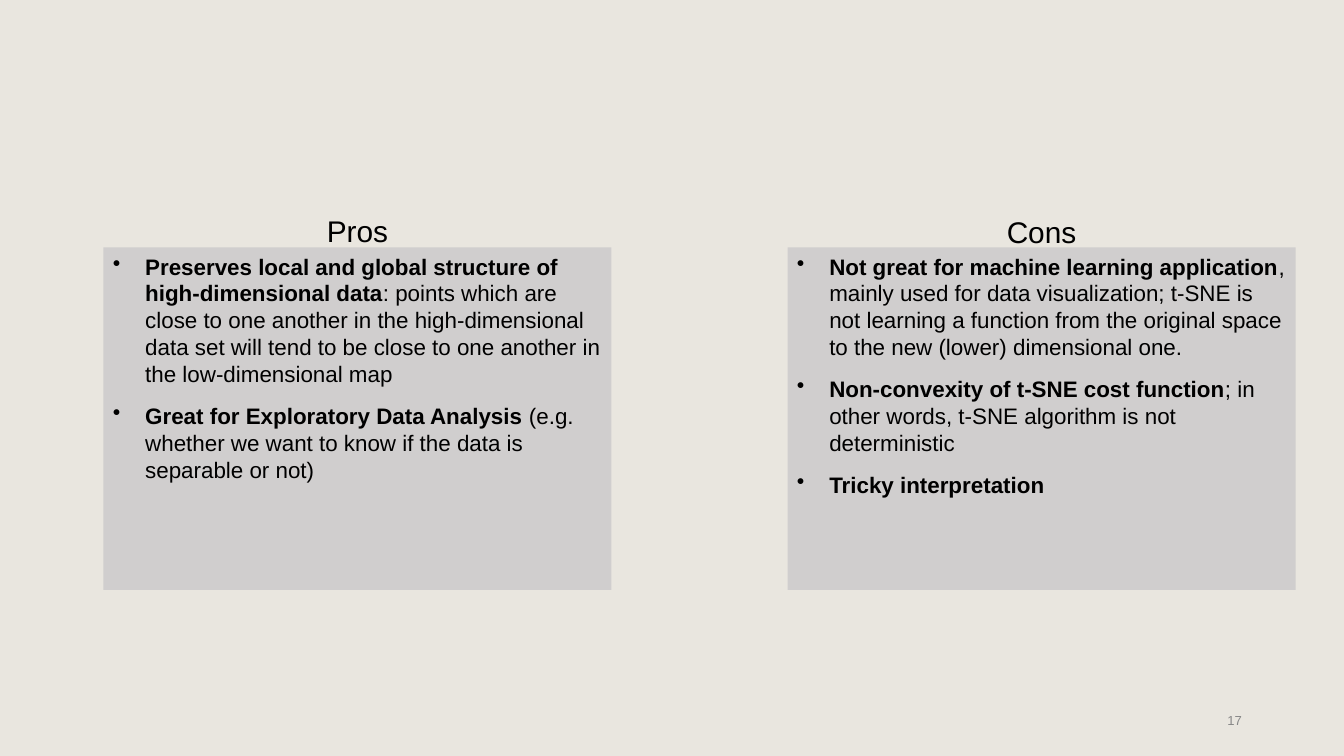
from pptx import Presentation
from pptx.dml.color import RGBColor
from pptx.enum.shapes import MSO_SHAPE
from pptx.enum.text import MSO_ANCHOR, PP_ALIGN
from pptx.oxml.xmlchemy import OxmlElement
from pptx.util import Inches, Pt

RECTANGLE = MSO_SHAPE.RECTANGLE
TOP, MIDDLE = MSO_ANCHOR.TOP, MSO_ANCHOR.MIDDLE
LEFT, CENTER, RIGHT = PP_ALIGN.LEFT, PP_ALIGN.CENTER, PP_ALIGN.RIGHT

# Left edge of the panel, top of the heading, heading, (bold, regular) points
COLUMNS = [
    (0.77, 1.54, "Pros", [
        ("Preserves local and global structure of high-dimensional data",
         ": points which are close to one another in the high-dimensional "
         "data set will tend to be close to one another in the "
         "low-dimensional map"),
        ("Great for Exploratory Data Analysis",
         " (e.g. whether we want to know if the data is separable or not)"),
    ]),
    (5.86, 1.55, "Cons", [
        ("Not great for machine learning application",
         ", mainly used for data visualization; t-SNE is not learning a "
         "function from the original space to the new (lower) dimensional "
         "one."),
        ("Non-convexity of t-SNE cost function",
         "; in other words, t-SNE algorithm is not deterministic"),
        ("Tricky interpretation", ""),
    ]),
]
PANEL_TOP, PANEL_WIDTH, PANEL_HEIGHT = 1.84, 3.78, 2.55
HEADING_WIDTH, HEADING_HEIGHT = 1.06, 0.35


def color(value):
    return RGBColor.from_string(value)


def write_paragraph(shape, runs, size, text_color, alignment, anchor=TOP):
    """Set margins and anchor, and add a paragraph of (text, bold) runs."""
    frame = shape.text_frame
    frame.word_wrap = True
    frame.vertical_anchor = anchor
    frame.margin_left = frame.margin_right = Inches(0.07)
    frame.margin_top = frame.margin_bottom = Inches(0.04)
    paragraph = frame.add_paragraph() if frame.text else frame.paragraphs[0]
    paragraph.alignment = alignment
    paragraph.font.name = "Arial"
    paragraph.font.size = Pt(size)
    paragraph.font.color.rgb = color(text_color)
    for text, bold in runs:
        if text:
            run = paragraph.add_run()
            run.text = text
            run.font.bold = bold
    return paragraph


presentation = Presentation()
presentation.slide_width = Inches(10)
presentation.slide_height = Inches(10) * 9 // 16
slide = presentation.slides.add_slide(presentation.slide_layouts[6])
slide.background.fill.solid()
slide.background.fill.fore_color.rgb = color("E9E6DF")

for left, heading_top, heading_text, points in COLUMNS:
    panel = slide.shapes.add_shape(
        RECTANGLE, Inches(left), Inches(PANEL_TOP),
        Inches(PANEL_WIDTH), Inches(PANEL_HEIGHT))
    panel.shadow.inherit = False
    panel.fill.solid()
    panel.fill.fore_color.rgb = color("D0CECE")
    panel.line.fill.background()

    for index, (bold_text, regular_text) in enumerate(points):
        paragraph = write_paragraph(
            panel, [(bold_text, True), (regular_text, False)],
            12, "000000", LEFT)
        paragraph.space_before = Pt(8 if index else 0)
        properties = paragraph._p.get_or_add_pPr()
        properties.set("marL", str(Inches(0.24)))
        properties.set("indent", str(-Inches(0.24)))
        bullet = OxmlElement("a:buChar")
        bullet.set("char", "•")
        properties.insert_element_before(
            bullet, "a:tabLst", "a:defRPr", "a:extLst")

    heading = slide.shapes.add_textbox(
        Inches(left + (PANEL_WIDTH - HEADING_WIDTH) / 2), Inches(heading_top),
        Inches(HEADING_WIDTH), Inches(HEADING_HEIGHT))
    write_paragraph(heading, [(heading_text, False)], 16, "000000", CENTER)

page_number = slide.shapes.add_textbox(
    Inches(7.06), Inches(5.21), Inches(2.25), Inches(0.3))
write_paragraph(page_number, [("17", False)], 7, "888888", RIGHT, MIDDLE)

presentation.save("out.pptx")
